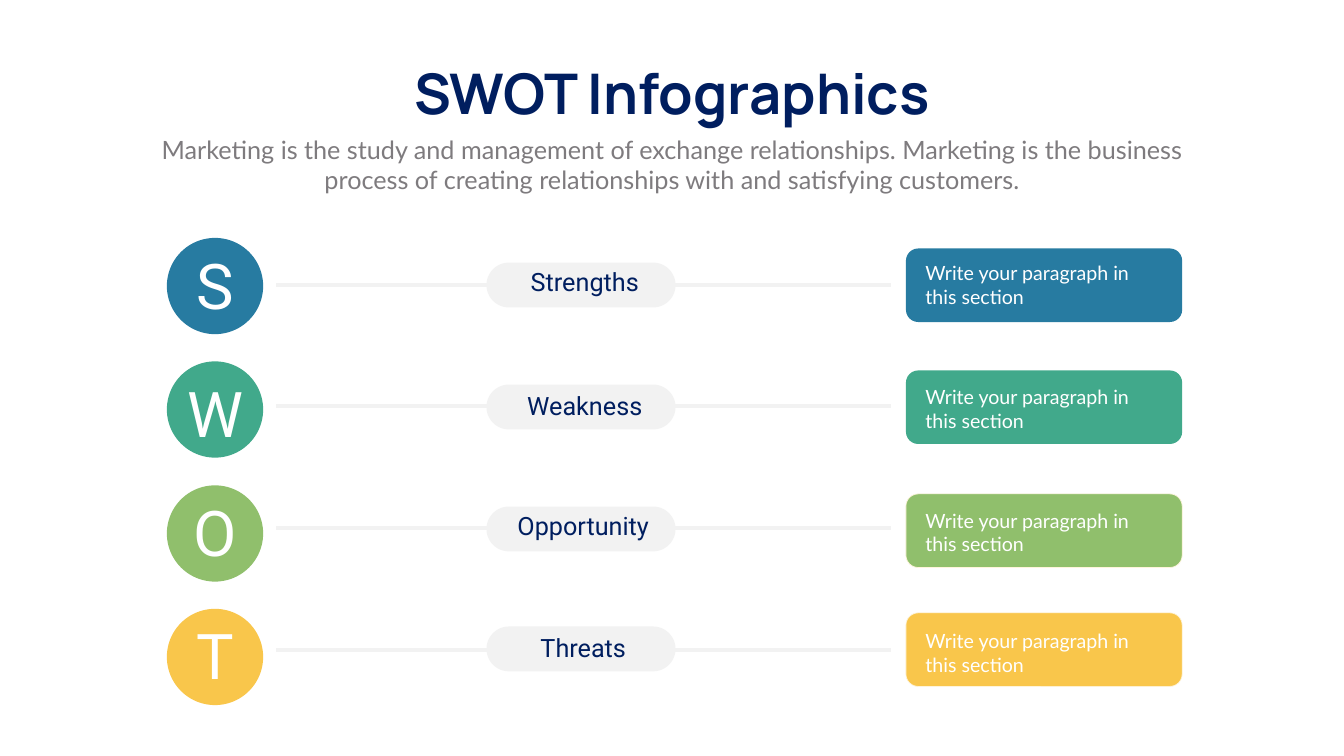
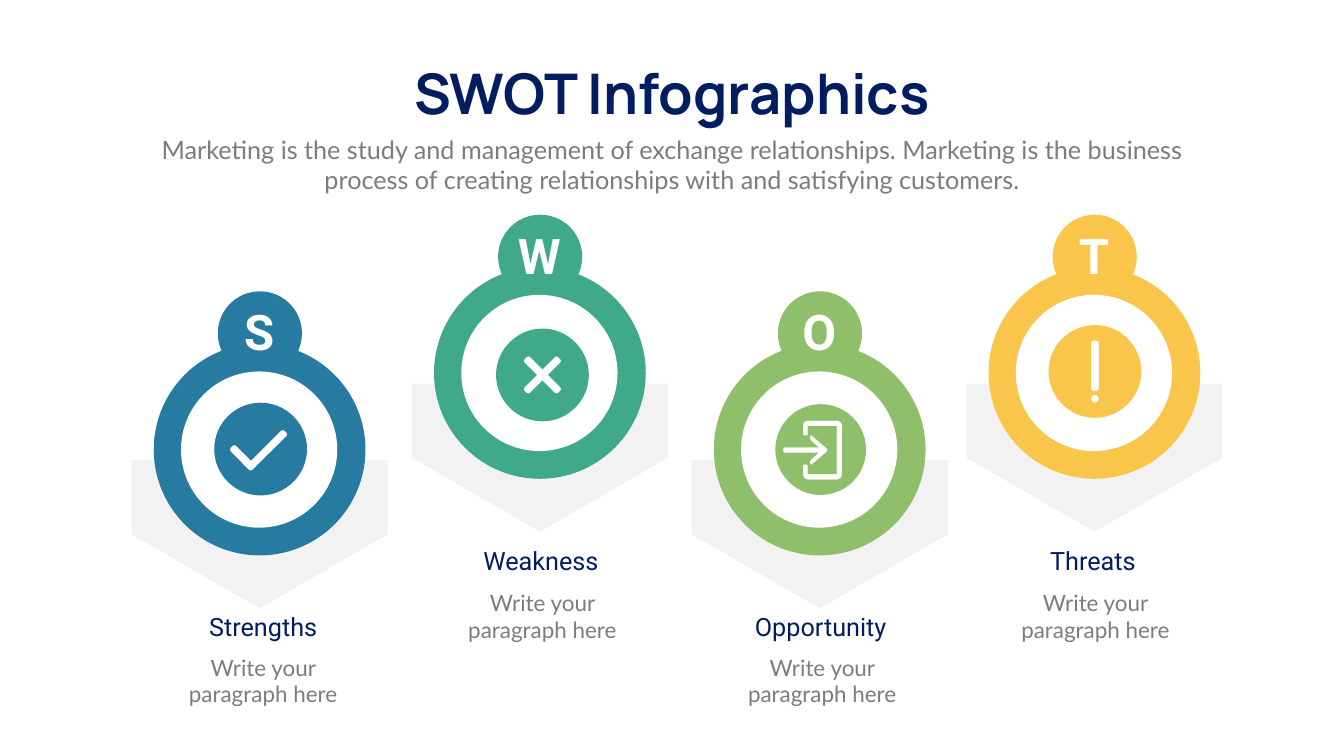
import math

import lxml.etree
import pptx
import pptx.dml.color
import pptx.enum.shapes
import pptx.enum.text
import pptx.oxml.ns
import pptx.util

PX = 9144  # one px is a hundredth of an inch
COLORS = {
    "navy": "001E5F", "grey": "7E7B7E", "pale": "F2F2F2", "white": "FFFFFF",
    "cream": "FEF4DB", "blue": "277BA1", "teal": "41A98B", "green": "90BF6C",
    "gold": "F9C64B",
}
HEAD = "SWOT Infographics"
INTRO = ("Marketing is the study and management of exchange relationships. "
         "Marketing is the business process of creating relationships with "
         "and satisfying customers.")
TOPICS = [("S", "Strengths", "blue"), ("W", "Weakness", "teal"),
          ("O", "Opportunity", "green"), ("T", "Threats", "gold")]
# Tops of pill, line, card, disc, letter and note, then left and top of label
ROWS = [(521, 565, 493, 472, 484, 513, 997, 524),
        (763, 806, 735, 717, 738, 759, 997, 769),
        (1005, 1048, 980, 963, 974, 1004, 994, 1008),
        (1243, 1290, 1216, 1208, 1219, 1243, 994, 1250)]
# Left and top of ring, label and note
COLS = [(305, 682, 359, 1208, 364, 1292),
        (861, 530, 910, 1077, 918, 1164),
        (1416, 682, 1465, 1208, 1473, 1292),
        (1961, 530, 2005, 1077, 2015, 1164)]

KIND = pptx.enum.shapes.MSO_SHAPE
ALIGN = pptx.enum.text.PP_ALIGN
CENTER = ALIGN.CENTER


def rgb(name):
    return pptx.dml.color.RGBColor.from_string(COLORS[name])


def paint(shape, fill, edge=None, width=1):
    shape.shadow.inherit = False
    shape.fill.solid()
    shape.fill.fore_color.rgb = rgb(fill)
    if edge:
        shape.line.color.rgb = rgb(edge)
        shape.line.width = pptx.util.Pt(width)
    else:
        shape.line.fill.background()


def add_block(slide, kind, box, fill, edge=None):
    shape = slide.shapes.add_shape(kind, *[v * PX for v in box])
    paint(shape, fill, edge)
    return shape


def add_disc(slide, left, top, size, fill):
    return add_block(slide, KIND.OVAL, (left, top, size, size), fill)


def add_line(slide, left, right, y):
    line = slide.shapes.add_connector(
        pptx.enum.shapes.MSO_CONNECTOR.STRAIGHT,
        left * PX, y * PX, right * PX, y * PX)
    line.line.color.rgb = rgb("pale")
    line.line.width = pptx.util.Pt(6)
    lxml.etree.SubElement(line._element.spPr, pptx.oxml.ns.qn("a:effectLst"))


def write(shape, words, face, size, color, bold=False, align=CENTER, wrap=True):
    frame = shape.text_frame
    frame.word_wrap = wrap
    frame.auto_size = pptx.enum.text.MSO_AUTO_SIZE.SHAPE_TO_FIT_TEXT
    frame.vertical_anchor = pptx.enum.text.MSO_ANCHOR.TOP
    para = frame.paragraphs[0]
    para.alignment = align
    para.space_before = pptx.util.Pt(0)
    run = para.add_run()
    run.text = words
    font = run.font
    font.name, font.size, font.bold = face, pptx.util.Pt(size), bold
    font.color.rgb = rgb(color)


def add_text(slide, box, *style, **more):
    write(slide.shapes.add_textbox(*[v * PX for v in box]), *style, **more)


def place(shape, left, top, width, height):
    shape.left, shape.top = left * PX, top * PX
    shape.width, shape.height = width * PX, height * PX


def add_slide(deck):
    """Add a slide with the shared title and intro."""
    slide = deck.slides.add_slide(deck.slide_layouts[0])
    title, intro = slide.placeholders
    place(title, 772, 112, 1122, 145)
    write(title, HEAD, "Manrope", 80, "navy", bold=True, wrap=False)
    place(intro, 292, 261, 2082, 131)
    write(intro, INTRO, "Lato", 36, "grey")
    return slide


# Outlines for the icons: steps of one point (line) or three (curve)

def between(start, end, part):
    return tuple(a + (b - a) * part for a, b in zip(start, end))


def bend(start, corner, end):
    return [between(start, corner, 0.55), between(end, corner, 0.55), end]


def ring(x, y, r):
    ends = [(x + r, y), (x, y + r), (x - r, y), (x, y - r), (x + r, y)]
    hooks = [(x + r, y + r), (x - r, y + r), (x - r, y - r), (x + r, y - r)]
    return [ends[:1]] + [bend(ends[i], hooks[i], ends[i + 1]) for i in range(4)]


def soften(points, radius=5):
    """Round the corners; a third value in a point is its own radius."""
    steps = []
    for i, (x, y, *own) in enumerate(points):
        cut = own[0] if own else radius
        spot = (x, y)
        if cut == 0:
            steps.append([spot])
            continue
        near = [points[i - 1][:2], points[(i + 1) % len(points)][:2]]
        start, end = [between(spot, p, cut / math.dist(spot, p)) for p in near]
        steps += [[start], bend(start, spot, end)]
    return steps


def add_free(slide, x, y, loops, fill, edge=None):
    """Draw closed loops, given around the point x, y, as one shape."""
    loops = [[[((x + u) * PX, (y + v) * PX) for u, v in step] for step in loop]
             for loop in loops]
    pen = slide.shapes.build_freeform(*loops[0][0][0])
    for i, loop in enumerate(loops):
        if i:
            pen.move_to(*loop[0][0])
        pen.add_line_segments([p for step in loop[1:] for p in step], close=True)
    shape = pen.convert_to_shape()

    # Join each three points of a curve into one segment
    lines = list(shape._element.iter(pptx.oxml.ns.qn("a:lnTo")))
    for step in [step for loop in loops for step in loop[1:]]:
        group, lines = lines[:len(step)], lines[len(step):]
        if len(step) == 3:
            curve = lxml.etree.Element(pptx.oxml.ns.qn("a:cubicBezTo"))
            group[0].addprevious(curve)
            for line in group:
                curve.append(line[0])
                line.getparent().remove(line)
    paint(shape, fill, edge, 0.09)


def add_badge(slide, x, y, color, *holes):
    add_free(slide, x, y, [ring(0, 0, 92), *holes], color)


def add_icons(slide):
    # Check mark
    tick = [(55, -29), (44, -40), (-19, 23, 0), (-52, -10), (-63, 1), (-20, 45)]
    add_badge(slide, 517, 891, "blue", soften(tick))

    # Cross, one arm turned four times
    arm, cross = [(11, 0), (39, 28), (28, 39)], []
    for _ in range(4):
        cross += [(*arm[0], 0), *arm[1:]]
        arm = [(-v, u) for u, v in arm]
    add_badge(slide, 1076, 744, "teal", soften(cross))

    # Exclamation mark
    bar = [(-8, -61), (8, -61), (8, 39), (-8, 39)]
    add_badge(slide, 2172, 737, "gold", soften(bar), ring(0, 54, 8))

    # Door and arrow, each mirrored about its middle
    add_disc(slide, 1538, 802, 180, "green")
    door = [(-26, -48, 0), (-26, -29, 2), (-35, -29, 2), (-35, -58, 9),
            (42, -58, 9)]
    door = [(32, -48, 0), *door]
    tip = [(-74, -5, 2), (-3, -5, 0), (-21, -21, 2), (-21, -31), (15, 0, 3)]
    door += [(u, -v, r) for u, v, r in reversed(door)]
    tip += [(u, -v, *r) for u, v, *r in reversed(tip[:-1])]
    for loop in (door, tip):
        add_free(slide, 1628, 893, [soften(loop)], "white", "white")


# The two layouts

def add_row(slide, topic, row):
    letter, name, color = topic
    pill, y, card, disc, sign, note, left, label = row
    shape = add_block(slide, KIND.ROUNDED_RECTANGLE, (965, pill, 375, 89), "pale")
    shape.adjustments[0] = 0.5
    edge = "cream" if color in ("green", "gold") else None
    add_block(slide, KIND.ROUNDED_RECTANGLE, (1797, card, 548, 146), color, edge)
    add_disc(slide, 331, disc, 191, color)
    add_text(slide, (355, sign, 145, 162), letter, "Roboto", 90, "white")
    for start in (548, 1319):
        add_line(slide, start, start + 449, y)
    add_text(slide, (left, label, 326, 71), name, "Roboto", 36, "navy")
    add_text(slide, (1826, note, 480, 104), "Write your paragraph in this section",
             "Lato", 28, "white", align=ALIGN.LEFT)


def add_col(slide, topic, col):
    letter, name, color = topic
    x, y, left, label, side, note = col
    plate = add_block(slide, KIND.PENTAGON, (x + 63, y + 124, 294, 508), "pale")
    plate.rotation = 90
    add_disc(slide, x, y, 420, color)
    add_disc(slide, x + 127, y - 104, 167, color)
    add_disc(slide, x + 54, y + 55, 310, "white")
    add_text(slide, (x + 144, y - 88, 130, 128), letter, "Roboto", 70, "white",
             bold=True)
    add_text(slide, (left, label, 326, 71), name, "Roboto", 36, "navy")
    add_text(slide, (side, note, 316, 118), "Write your paragraph here",
             "Lato", 32, "grey")


def main():
    deck = pptx.Presentation()
    deck.slide_width, deck.slide_height = 2666 * PX, 1500 * PX

    # Slide 1: rows
    slide = add_slide(deck)
    for topic, row in zip(TOPICS, ROWS):
        add_row(slide, topic, row)

    # Slide 2: columns
    slide = add_slide(deck)
    for topic, col in zip(TOPICS, COLS):
        add_col(slide, topic, col)
    add_icons(slide)

    deck.save("out.pptx")


if __name__ == "__main__":
    main()
